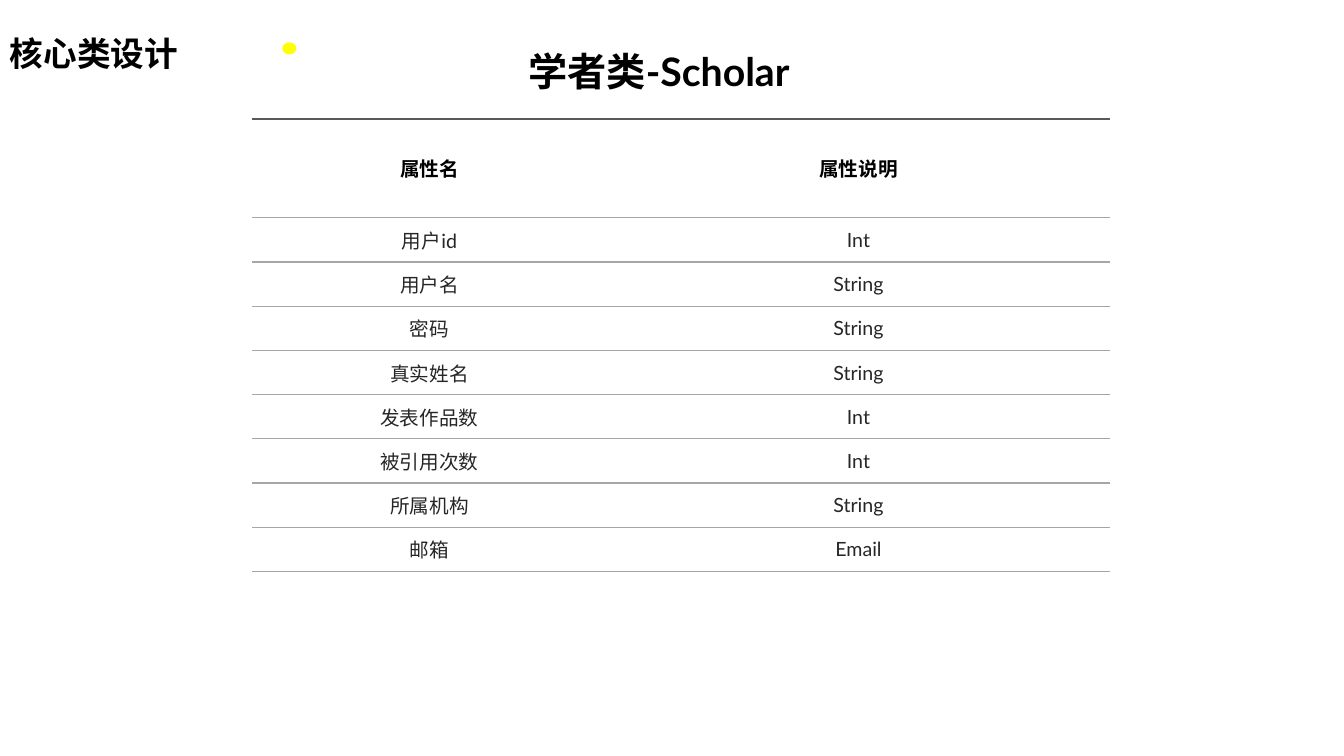
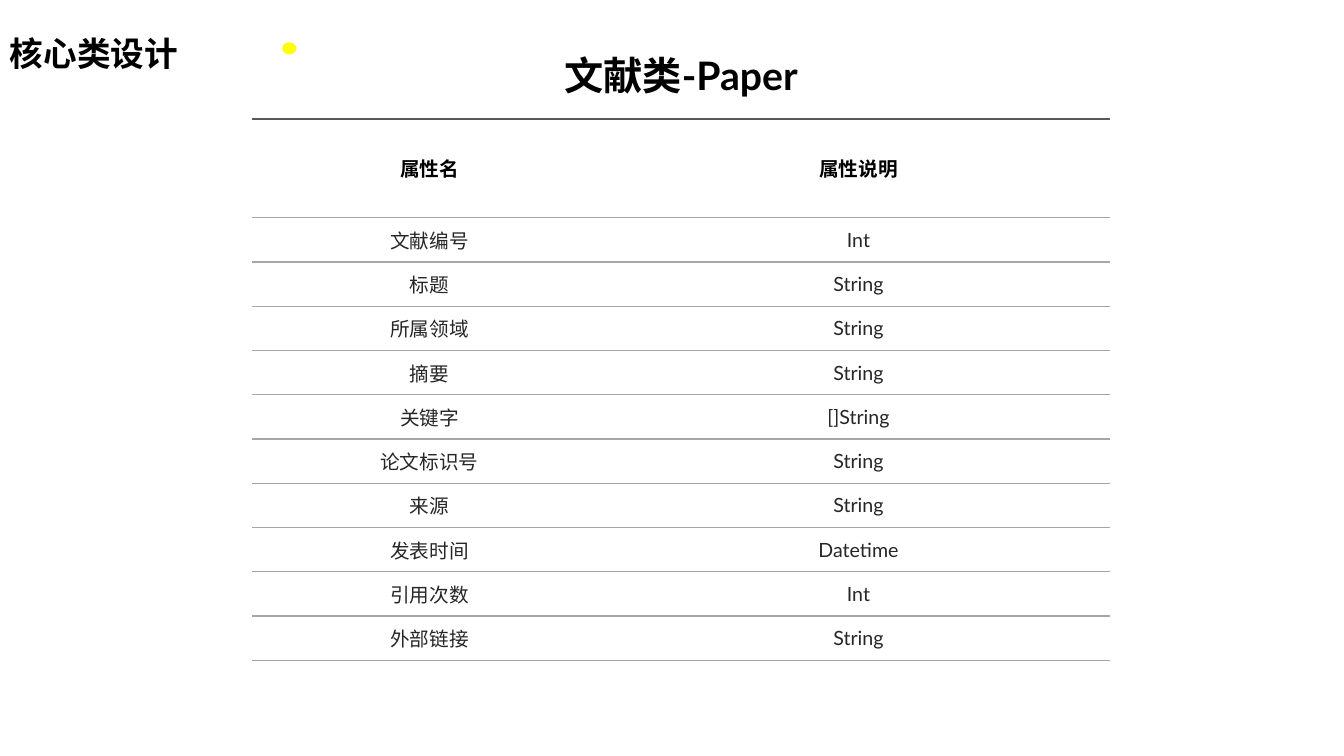
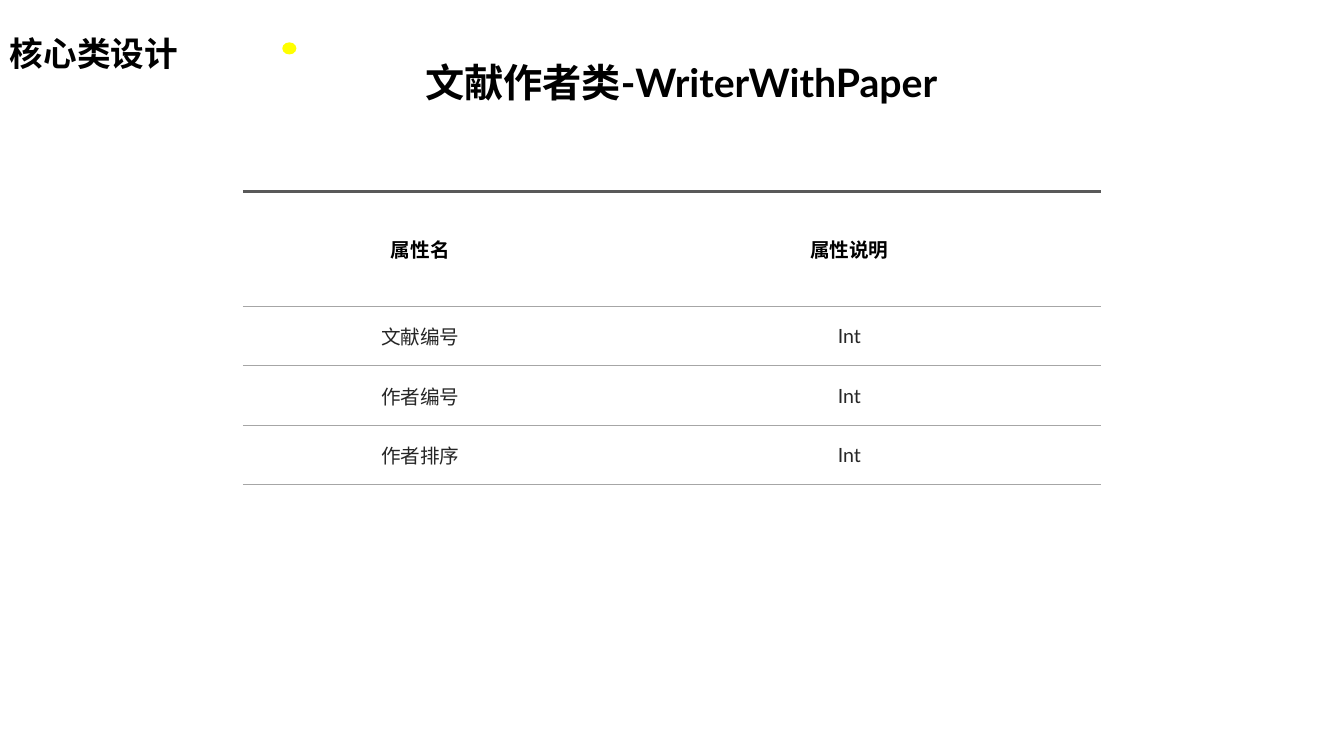
from lxml import etree
from pptx import Presentation
from pptx.dml.color import RGBColor
from pptx.enum.lang import MSO_LANGUAGE_ID as Lang
from pptx.enum.shapes import MSO_SHAPE as Shape
from pptx.enum.text import MSO_ANCHOR as Anchor, MSO_AUTO_SIZE as AutoSize, PP_ALIGN as Align
from pptx.oxml.ns import qn
from pptx.util import Inches, Pt

FONT = "Lato"
COLORS = {"heading": "000000", "body": "262626", "dot": "FFFF00",
          "rule": "A6A6A6", "top_rule": "595959"}
SECTION = "核心类设计"
HEADERS = ("属性名", "属性说明")
COL_WIDTHS = (3.52, 4.99)

# Each class: title, title box, table box, header height, attribute rows
CLASSES = [
    ("学者类-Scholar", (4.57, 0.42, 3.93, 0.57), (2.5, 1.18, 8.51, 4.49), 0.98,
     [("用户id", "Int"), ("用户名", "String"), ("密码", "String"),
      ("真实姓名", "String"), ("发表作品数", "Int"), ("被引用次数", "Int"),
      ("所属机构", "String"), ("邮箱", "Email")]),
    ("文献类-Paper", (5.1, 0.46, 3.31, 0.57), (2.5, 1.18, 8.51, 5.37), 0.98,
     [("文献编号", "Int"), ("标题", "String"), ("所属领域", "String"),
      ("摘要", "String"), ("关键字", "[]String"), ("论文标识号", "String"),
      ("来源", "String"), ("发表时间", "Datetime"), ("引用次数", "Int"),
      ("外部链接", "String")]),
    ("文献作者类-WriterWithPaper", (3.8, 0.53, 5.91, 0.57), (2.41, 1.9, 8.51, 2.91), 1.14,
     [("文献编号", "Int"), ("作者编号", "Int"), ("作者排序", "Int")]),
]


def write(tf, text, size=14, color="heading", bold=True, align=Align.CENTER):
    p = tf.paragraphs[0]
    p.alignment = align
    r = p.add_run()
    r.text = text
    font = r.font
    font.name, font.size, font.bold = FONT, Pt(size), bold
    font.color.rgb = RGBColor.from_string(COLORS[color])
    font.language_id = Lang.SIMPLIFIED_CHINESE


def add_text(slide, box, text, wrap=True, **fmt):
    tf = slide.shapes.add_textbox(*map(Inches, box)).text_frame
    tf.word_wrap = wrap
    tf.auto_size = AutoSize.SHAPE_TO_FIT_TEXT
    write(tf, text, **fmt)


def set_borders(cell, top, bottom):
    """Rule the top and bottom of a cell, each as (colour, points); leave the sides open."""
    tc_pr = cell._tc.get_or_add_tcPr()
    edges = {"a:lnL": None, "a:lnR": None, "a:lnT": top, "a:lnB": bottom}
    for i, (tag, rule) in enumerate(edges.items()):
        ln = etree.Element(qn(tag))
        if rule:
            color, width = rule
            ln.set("w", str(Pt(width)))
            fill = etree.SubElement(ln, qn("a:solidFill"))
            etree.SubElement(fill, qn("a:srgbClr"), val=COLORS[color])
        else:
            etree.SubElement(ln, qn("a:noFill"))
        tc_pr.insert(i, ln)


def add_section_mark(slide, x, y):
    # Section name with its yellow dot
    add_text(slide, (x, y, 1.88, 0.5), SECTION, wrap=False, size=24, align=Align.LEFT)
    dot = slide.shapes.add_shape(Shape.OVAL, Inches(x + 2.8), Inches(y + 0.14),
                                 Inches(0.14), Inches(0.12))
    dot.shadow.inherit = False
    dot.fill.solid()
    dot.fill.fore_color.rgb = RGBColor.from_string(COLORS["dot"])
    dot.line.fill.background()


def add_attribute_table(slide, box, header_height, rows):
    table = slide.shapes.add_table(len(rows) + 1, len(HEADERS), *map(Inches, box)).table
    table.first_row = table.horz_banding = False
    for column, width in zip(table.columns, COL_WIDTHS):
        column.width = Inches(width)
    row_height = (box[3] - header_height) / len(rows)
    thin = ("rule", 1)
    for i, values in enumerate([HEADERS, *rows]):
        header = i == 0
        table.rows[i].height = Inches(header_height if header else row_height)
        for cell, value in zip(table.rows[i].cells, values):
            cell.fill.background()
            cell.vertical_anchor = Anchor.MIDDLE
            set_borders(cell, ("top_rule", 2.25) if header else thin, thin)
            write(cell.text_frame, value, color="heading" if header else "body", bold=header)


def add_class_slide(prs, title, title_box, table_box, header_height, rows):
    slide = prs.slides.add_slide(prs.slide_layouts[6])
    add_attribute_table(slide, table_box, header_height, rows)
    add_section_mark(slide, 0, 0.28)
    add_text(slide, title_box, title, size=28)


def main():
    prs = Presentation()
    prs.slide_width, prs.slide_height = Inches(13.33), Inches(7.5)
    for parts in CLASSES:
        add_class_slide(prs, *parts)
    prs.save("out.pptx")


if __name__ == "__main__":
    main()
